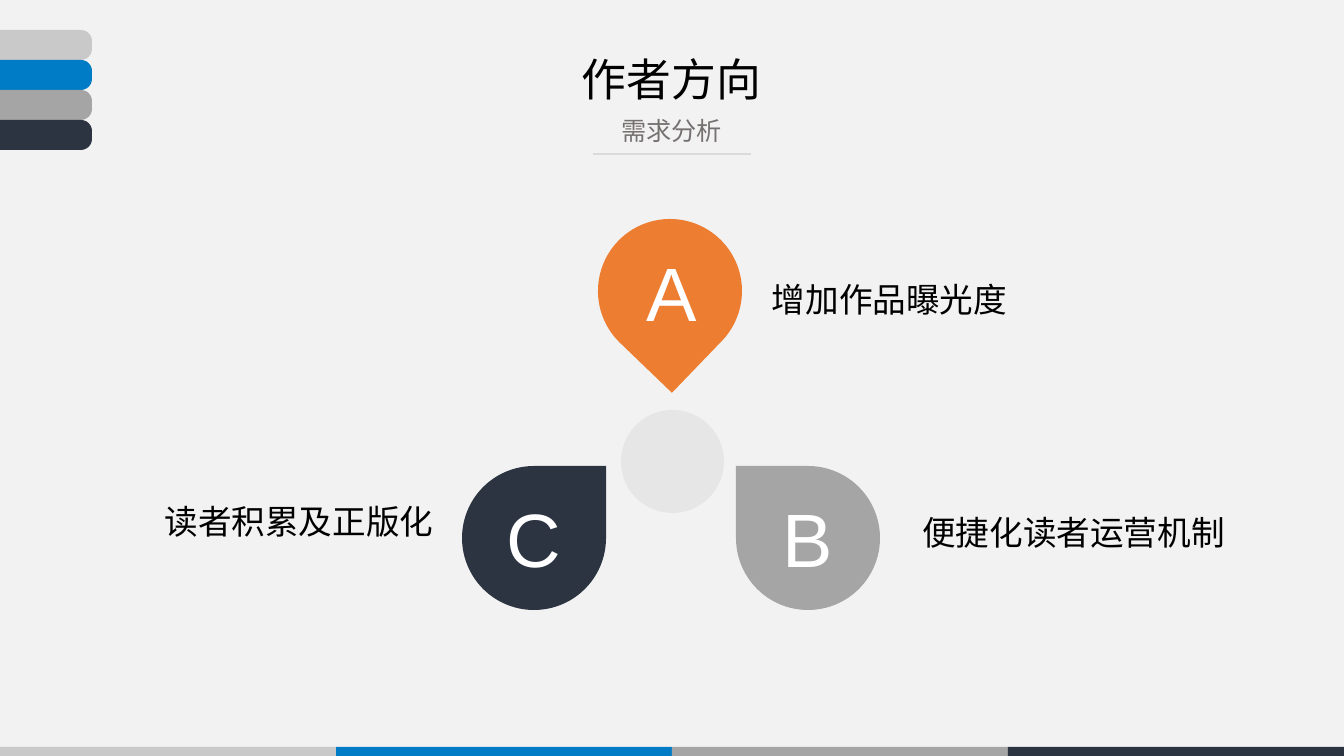
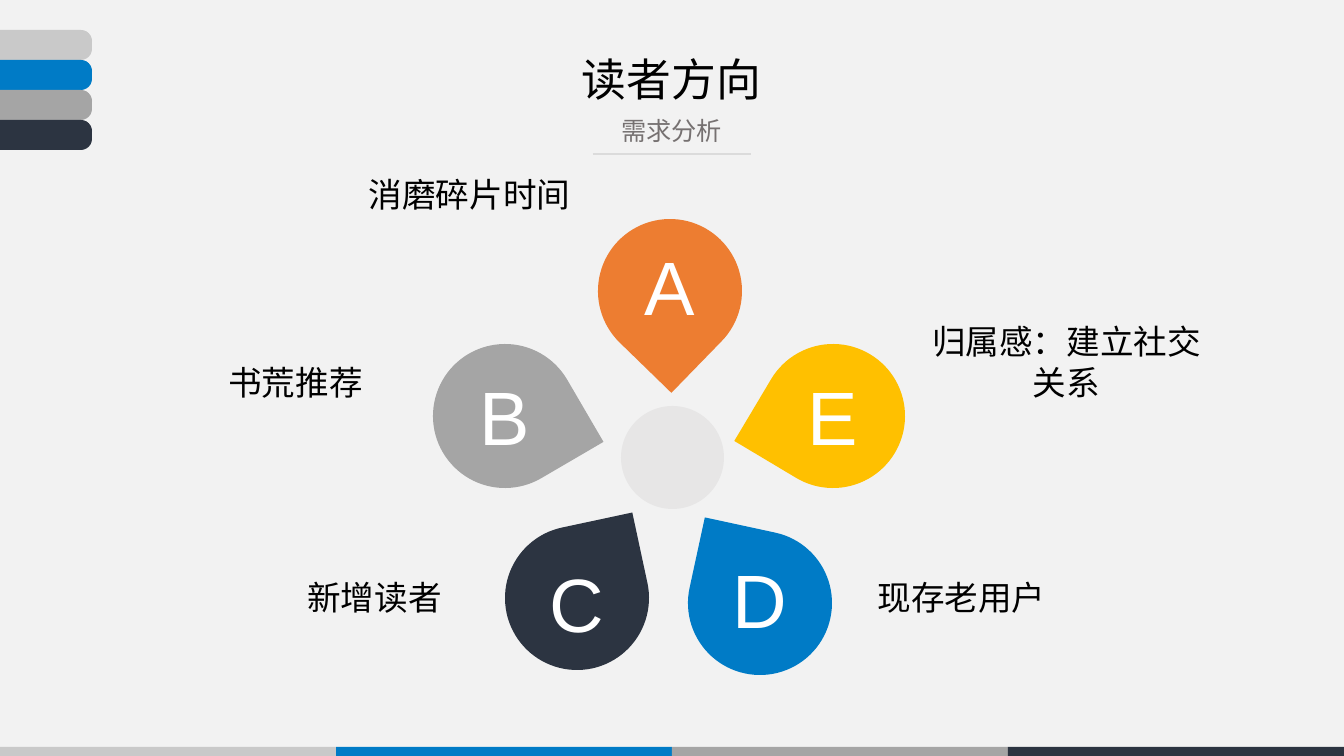
from dataclasses import dataclass

from lxml.etree import SubElement
from pptx import Presentation
from pptx.dml.color import RGBColor
from pptx.enum.shapes import MSO_CONNECTOR, MSO_SHAPE
from pptx.enum.text import MSO_ANCHOR, PP_ALIGN
from pptx.oxml.ns import qn
from pptx.shapes.autoshape import Shape
from pptx.slide import Slide
from pptx.util import Emu, Pt

PAGE_WIDTH, PAGE_HEIGHT = 1344, 756


def px(length: float) -> Emu:
    """Turn px into EMU, at 100.8 px to the inch."""
    return Emu(round(length * 914400 / 100.8))


@dataclass(frozen=True)
class Theme:
    font: str = "Arial"
    page: str = "F2F2F2"
    silver: str = "C9C9C9"
    blue: str = "007BC6"
    grey: str = "A5A5A5"
    navy: str = "2C3441"
    orange: str = "ED7D31"
    yellow: str = "FFC000"
    hub: str = "E7E6E6"
    rule: str = "DBDBDB"
    text: str = "000000"
    muted: str = "767171"
    white: str = "FFFFFF"
    title_size: int = 32
    subtitle_size: int = 18
    label_size: int = 24
    letter_size: int = 54


THEME = Theme()
BRAND_COLOURS = (THEME.silver, THEME.blue, THEME.grey, THEME.navy)


@dataclass(frozen=True)
class Drop:
    letter: str
    colour: str
    left: int
    top: int
    rotation: float
    shift_x: int = 0
    shift_y: int = 0


@dataclass(frozen=True)
class Label:
    text: str
    left: int
    top: int
    width: int = 235


@dataclass(frozen=True)
class Page:
    title: str
    hub_top: int
    drops: tuple[Drop, ...]
    labels: tuple[Label, ...]


PAGES = (
    Page(
        "作者方向",
        410,
        (
            Drop("B", THEME.grey, 736, 466, 270),
            Drop("C", THEME.navy, 462, 466, 0),
            Drop("A", THEME.orange, 598, 219, 133.9, 2, 1),
        ),
        (
            Label("读者积累及正版化", 136, 481, 326),
            Label("便捷化读者运营机制", 897, 492, 353),
            Label("增加作品曝光度", 736, 259, 307),
        ),
    ),
    Page(
        "读者方向",
        406,
        (
            Drop("C", THEME.navy, 505, 526, 347.9, 0, 5),
            Drop("D", THEME.blue, 688, 531, 282.2, 0, -4),
            Drop("E", THEME.yellow, 761, 344, 210.8),
            Drop("B", THEME.grey, 433, 344, 59.7),
            Drop("A", THEME.orange, 598, 219, 134.2, 0, -5),
        ),
        (
            Label("书荒推荐", 178, 342),
            Label("消磨碎片时间", 352, 154),
            Label("归属感：建立社交关系", 912, 342, 309),
            Label("现存老用户", 844, 557),
            Label("新增读者", 257, 557),
        ),
    ),
)


def add_block(page: Slide, preset: MSO_SHAPE, left: int, top: int, width: int,
              height: int, colour: str, rotation: float = 0) -> Shape:
    block = page.shapes.add_shape(preset, px(left), px(top), px(width), px(height))
    block.rotation = rotation
    block.shadow.inherit = False
    block.fill.solid()
    block.fill.fore_color.rgb = RGBColor.from_string(colour)
    block.line.fill.background()
    return block


def add_text(page: Slide, text: str, left: int, top: int, width: int, height: int,
             size: int, colour: str, anchor: MSO_ANCHOR,
             line_spacing: float = 1.0, space_before: float = 0) -> None:
    box = page.shapes.add_textbox(px(left), px(top), px(width), px(height))
    frame = box.text_frame
    frame.word_wrap = True
    frame.vertical_anchor = anchor
    frame.text = text
    para = frame.paragraphs[0]
    para.alignment = PP_ALIGN.CENTER
    para.line_spacing = line_spacing
    para.space_before = Pt(space_before)
    span = para.runs[0]
    span.font.name = THEME.font
    span.font.size = Pt(size)
    span.font.color.rgb = RGBColor.from_string(colour)


def add_frame(page: Slide) -> None:
    # Footer band and the tabs at the top left share one colour order
    band_width = PAGE_WIDTH // len(BRAND_COLOURS)
    band_height = 9
    tab_length, tab_height, tabs_top = 92, 30, 30
    overhang = (tab_length - tab_height) // 2
    for index, colour in enumerate(BRAND_COLOURS):
        add_block(page, MSO_SHAPE.RECTANGLE, index * band_width,
                  PAGE_HEIGHT - band_height, band_width, band_height, colour)
        # A tab is an upright shape turned so its round end points right
        tab = add_block(page, MSO_SHAPE.ROUND_2_SAME_RECTANGLE, overhang,
                        tabs_top + index * tab_height - overhang,
                        tab_height, tab_length, colour, 90)
        tab.adjustments[0] = 0.37


def add_heading(page: Slide, title: str) -> None:
    add_text(page, "需求分析", 237, 114, 869, 39, THEME.subtitle_size,
             THEME.muted, MSO_ANCHOR.TOP, 0.9, 7.5)
    add_text(page, title, 237, 54, 869, 60, THEME.title_size,
             THEME.text, MSO_ANCHOR.MIDDLE, 0.8)
    rule = page.shapes.add_connector(MSO_CONNECTOR.STRAIGHT,
                                     px(593), px(154), px(751), px(154))
    rule.line.color.rgb = RGBColor.from_string(THEME.rule)
    rule.line.width = Pt(1.5)
    SubElement(rule._element.spPr, qn("a:effectLst"))


def add_drop(page: Slide, drop: Drop) -> None:
    size, letter_width, letter_height = 144, 109, 113
    add_block(page, MSO_SHAPE.TEAR, drop.left, drop.top, size, size,
              drop.colour, drop.rotation)
    add_text(page, drop.letter,
             drop.left + (size - letter_width) // 2 + drop.shift_x,
             drop.top + (size - letter_height) // 2 + drop.shift_y,
             letter_width, letter_height, THEME.letter_size, THEME.white,
             MSO_ANCHOR.MIDDLE)


def add_page(deck: Presentation, content: Page) -> None:
    page = deck.slides.add_slide(deck.slide_layouts[6])
    add_frame(page)
    for label in content.labels:
        add_text(page, label.text, label.left, label.top, label.width, 65,
                 THEME.label_size, THEME.text, MSO_ANCHOR.BOTTOM)
    # Hub with the lettered drops around it
    add_block(page, MSO_SHAPE.OVAL, 621, content.hub_top, 103, 103, THEME.hub)
    for drop in content.drops:
        add_drop(page, drop)
    add_heading(page, content.title)


def main() -> None:
    deck = Presentation()
    deck.slide_width, deck.slide_height = px(PAGE_WIDTH), px(PAGE_HEIGHT)
    backdrop = deck.slide_master.background.fill
    backdrop.solid()
    backdrop.fore_color.rgb = RGBColor.from_string(THEME.page)
    for content in PAGES:
        add_page(deck, content)
    deck.save("out.pptx")


if __name__ == "__main__":
    main()
